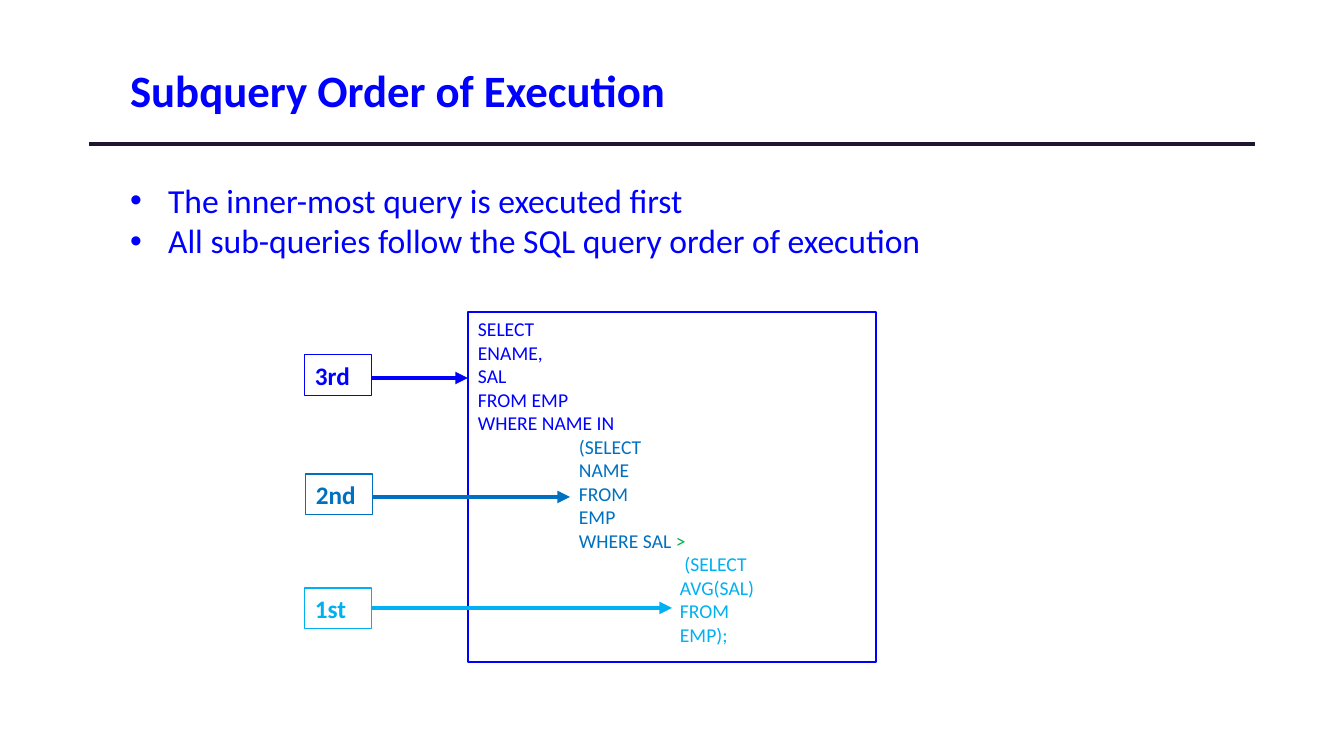
from dataclasses import dataclass

from pptx import Presentation
from pptx.dml.color import RGBColor as RGB
from pptx.enum.shapes import MSO_CONNECTOR as CONN, MSO_SHAPE as SHAPE
from pptx.enum.text import MSO_ANCHOR as ANCHOR, MSO_AUTO_SIZE as AUTOSIZE, PP_ALIGN as ALIGN
from pptx.oxml.ns import qn
from pptx.util import Pt


@dataclass(frozen=True)
class Theme:
    font: str = "Calibri"
    blue: str = "0000FF"
    mid: str = "0070C0"
    sky: str = "00B0F0"
    green: str = "00B050"
    rule: str = "1F1431"
    title: int = 32
    body: int = 24
    label: int = 18
    code: int = 14
    heavy: float = 3
    frame: float = 1
    thin: float = 0.75


T = Theme()
PX = 12192000 / 1344


def px(*values):
    return [round(v * PX) for v in values]


def add_run(p, text, size, color, bold=False):
    r = p.add_run()
    r.text = text
    r.font.name = T.font
    r.font.size = Pt(size)
    r.font.bold = bold
    r.font.color.rgb = RGB.from_string(color)


prs = Presentation()
prs.slide_width, prs.slide_height = px(1344, 756)
s = prs.slides.add_slide(prs.slide_layouts[1])

title, body = s.placeholders
title.left, title.top, title.width, title.height = px(120, 51, 1067, 78)
tf = title.text_frame
tf.auto_size = AUTOSIZE.NONE
tf.vertical_anchor = ANCHOR.MIDDLE
p = tf.paragraphs[0]
p.alignment = ALIGN.LEFT
add_run(p, "Subquery Order of Execution", T.title, T.blue, True)

body.left, body.top, body.width, body.height = px(120, 175, 1109, 460)
tf = body.text_frame
tf.auto_size = AUTOSIZE.NONE
points = ["The inner-most query is executed first",
          "All sub-queries follow the SQL query order of execution"]
for i, text in enumerate(points):
    p = tf.add_paragraph() if i else tf.paragraphs[0]
    p.space_before = Pt(0)
    indent, = px(38)
    pPr = p._p.get_or_add_pPr()
    pPr.set("marL", str(indent))
    pPr.set("indent", str(-indent))
    add_run(p, text, T.body, T.blue)

boxes = [
    (468, 312, 408, 350, T.blue, T.frame),
    (305, 355, 67, 41, T.blue, T.thin),
    (306, 474, 67, 41, T.mid, T.thin),
    (305, 588, 67, 41, T.sky, T.thin),
]
frames = []
for x, y, w, h, color, weight in boxes:
    sp = s.shapes.add_shape(SHAPE.RECTANGLE, *px(x, y, w, h))
    sp.shadow.inherit = False
    sp.fill.background()
    sp.line.color.rgb = RGB.from_string(color)
    sp.line.width = Pt(weight)
    tf = sp.text_frame
    tf.word_wrap = True
    tf.vertical_anchor = ANCHOR.TOP
    tf.paragraphs[0].alignment = ALIGN.LEFT
    frames.append(tf)

code, *labels = frames
for tf, text, box in zip(labels, ["3rd", "2nd", "1st"], boxes[1:]):
    add_run(tf.paragraphs[0], text, T.label, box[4], True)

queries = [
    (0, T.blue, ["SELECT", "ENAME,", "SAL", "FROM EMP", "WHERE NAME IN"]),
    (1, T.mid, ["(SELECT", "NAME", "FROM", "EMP", "WHERE SAL "]),
    (3, T.sky, [" (SELECT", "AVG(SAL)", "FROM", "EMP);"]),
]
p = code.paragraphs[0]
for level, color, lines in queries:
    for text in lines:
        if p.runs:
            p = code.add_paragraph()
        p.alignment = ALIGN.LEFT
        p.level = level
        margin, = px(101 * ((level + 1) // 2))
        p._p.get_or_add_pPr().set("marL", str(margin))
        add_run(p, text, T.code, color)
        if text.startswith("WHERE SAL"):
            add_run(p, ">", T.code, T.green)

lines = [
    (89, 1255, 144, T.rule, False),
    (372, 672, 608, T.sky, True),
    (372, 570, 497, T.mid, True),
    (372, 468, 378, T.blue, True),
]
for x1, x2, y, color, arrow in lines:
    cx = s.shapes.add_connector(CONN.STRAIGHT, *px(x1, y, x2, y))
    cx.line.color.rgb = RGB.from_string(color)
    cx.line.width = Pt(T.heavy)
    if arrow:
        ln = cx.line._get_or_add_ln()
        ln.append(ln.makeelement(qn("a:tailEnd"), {"type": "triangle"}))
    spPr = cx._element.spPr
    spPr.append(spPr.makeelement(qn("a:effectLst"), {}))

prs.save("out.pptx")
